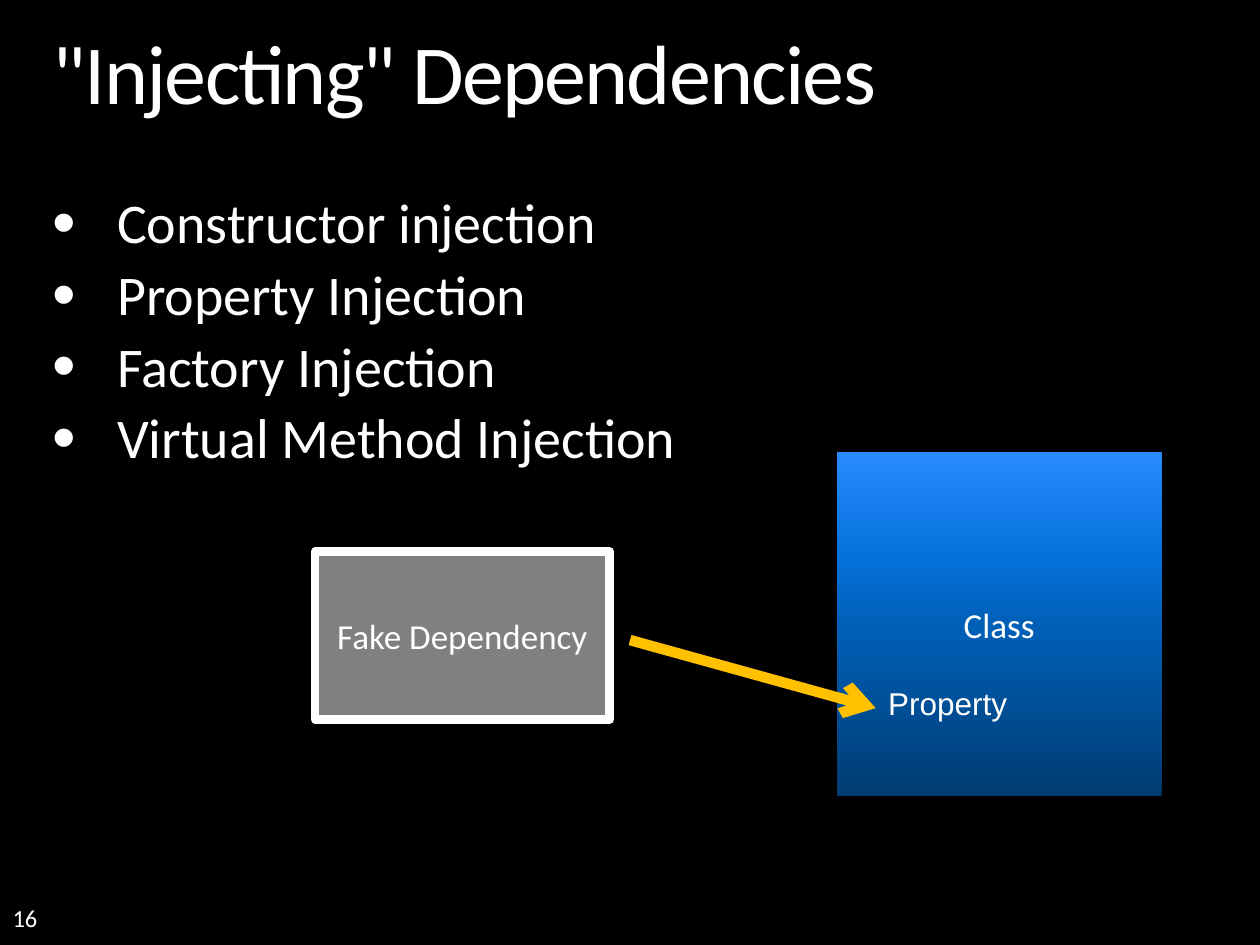
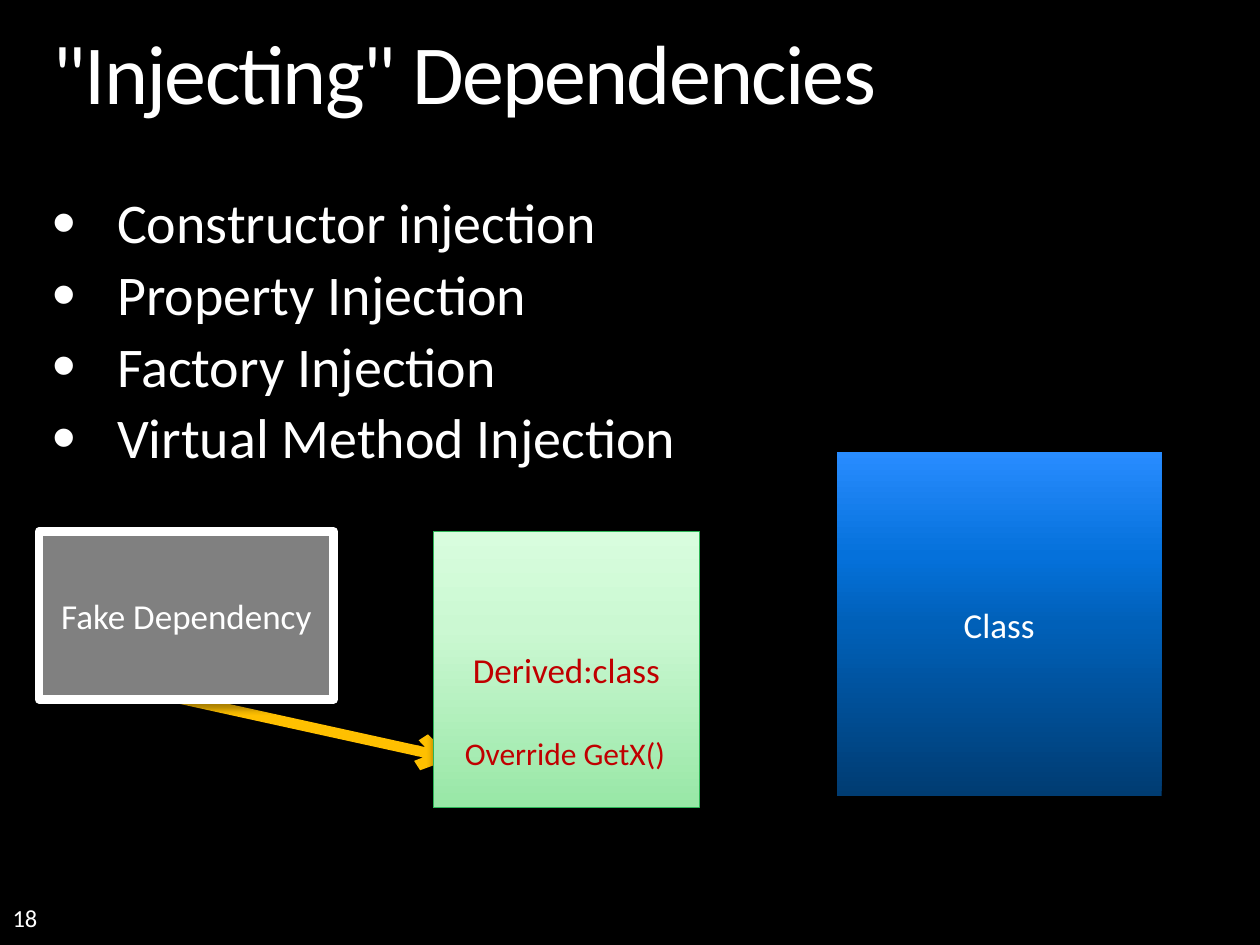
"""Builds two slides on ways of injecting dependencies."""
from lxml import etree
from pptx import Presentation
from pptx.dml.color import RGBColor
from pptx.enum.shapes import MSO_CONNECTOR, MSO_SHAPE
from pptx.enum.text import MSO_ANCHOR, PP_ALIGN
from pptx.oxml.ns import qn
from pptx.util import Inches, Pt

RECT, LINE = MSO_SHAPE.RECTANGLE, MSO_CONNECTOR.STRAIGHT
MIDDLE, BOTTOM = MSO_ANCHOR.MIDDLE, MSO_ANCHOR.BOTTOM
LEFT, CENTER = PP_ALIGN.LEFT, PP_ALIGN.CENTER

THEME = {
    "back": "000000", "white": "FFFFFF", "red": "C00000", "gold": "FFC000",
    "gray": "808080", "green": "2DB557", "font": "Calibri", "plain": "Arial",
    "title": 48, "body": 32, "box": 20, "label": 18, "number": 14,
    "blues": [(0, "003C72"), (50, "0060B8"), (70, "0571DB"), (100, "288CFF")],
    "greens": [(0, "98E7A6"), (65, "CBF8D2"), (100, "D8FDDE")],
}
POINTS = ["Constructor injection", "Property Injection",
          "Factory Injection", "Virtual Method Injection"]
FAKE = ("Fake Dependency", "gray", "white", 5, "white", (35, 4))
CLASS = ("Class", "blues", None, 0, "white", (45, 5))
DERIVED = ("Derived:class", "greens", "green", 0.75, "red", (35, 4))
BASE = (CLASS, (6.64, 3.59, 2.58, 2.73))
SLIDES = [
    {"number": "16", "arrow": (5, 5.08, 6.95, 5.62),
     "boxes": [BASE, (FAKE, (2.5, 4.38, 2.34, 1.33))],
     "label": ("Property", (6.95, 5.38, 1.16, 0.4), "plain", "white")},
    {"number": "18", "arrow": (1.09, 5.47, 3.59, 6.02),
     "boxes": [BASE, (FAKE, (0.31, 4.22, 2.34, 1.33)),
               (DERIVED, (3.44, 4.22, 2.11, 2.19))],
     "label": ("Override GetX()", (3.59, 5.78, 1.81, 0.4), "font", "red")},
]


def add(root, tag, **attrs):
    """Append a drawing element to root."""
    return etree.SubElement(root, qn("a:" + tag), attrs)


def write(shape, lines, size, ink="white", font="font", frame=None, para=None):
    """Fill a shape with styled lines."""
    text = shape.text_frame
    text.text = "\n".join(lines)
    for name, value in (frame or {}).items():
        setattr(text, name, value)
    for item in text.paragraphs:
        for name, value in (para or {}).items():
            setattr(item, name, value)
        face = {"name": THEME[font], "size": Pt(THEME[size])}
        for name, value in face.items():
            setattr(item.runs[0].font, name, value)
        item.runs[0].font.color.rgb = RGBColor.from_string(THEME[ink])
    return text.paragraphs


deck = Presentation()
deck.slide_width, deck.slide_height = Inches(10), Inches(7.5)
flush = {"word_wrap": True, "margin_left": 0, "margin_right": 0,
         "margin_top": 0, "margin_bottom": 0}

for plan in SLIDES:
    slide = deck.slides.add_slide(deck.slide_layouts[6])
    slide.background.fill.solid()
    slide.background.fill.fore_color.rgb = RGBColor.from_string(THEME["back"])
    shapes = slide.shapes

    number = shapes.add_textbox(*map(Inches, (0.1, 7, 2.33, 0.4)))
    write(number, [plan["number"]], "number",
          frame={**flush, "vertical_anchor": BOTTOM})

    title = shapes.add_textbox(*map(Inches, (0.42, 0.25, 9.16, 0.73)))
    head = write(title, ['"Injecting" Dependencies'], "title",
                 frame=flush, para={"line_spacing": 0.9})
    head[0].runs[0].font._element.set("spc", "-100")

    body = shapes.add_textbox(*map(Inches, (0.42, 1.55, 9.17, 2.26)))
    for item in write(body, POINTS, "body", frame=flush,
                      para={"line_spacing": 0.9, "space_before": Pt(6.4)}):
        props = item._p.get_or_add_pPr()
        props.set("marL", str(Inches(0.51)))
        props.set("indent", str(Inches(-0.51)))
        add(props, "buSzPct", val="120000")
        add(props, "buFont", typeface=THEME["plain"])
        add(props, "buChar", char="•")

    for kind, place in plan["boxes"]:
        name, fill, edge, width, ink, (dark, blur) = kind
        box = shapes.add_shape(RECT, *map(Inches, place))
        if isinstance(THEME[fill], list):
            box.fill.gradient()
            box.fill.gradient_angle = 90
            stops = box._element.spPr.find(".//" + qn("a:gsLst"))
            stops.clear()
            for pos, tone in THEME[fill]:
                stop = add(stops, "gs", pos=str(pos * 1000))
                add(stop, "srgbClr", val=tone)
        else:
            box.fill.solid()
            box.fill.fore_color.rgb = RGBColor.from_string(THEME[fill])
        if edge:
            box.line.color.rgb = RGBColor.from_string(THEME[edge])
            box.line.width = Pt(width)
        else:
            box.line.fill.background()
        box.shadow.inherit = False
        glow = add(box._element.spPr.find(qn("a:effectLst")), "outerShdw",
                   blurRad=str(Pt(blur)), dist=str(Pt(3)), dir="5400000",
                   rotWithShape="0")
        black = add(glow, "srgbClr", val=THEME["back"])
        add(black, "alpha", val=str(dark * 1000))
        write(box, [name], "box", ink,
              frame={"word_wrap": True, "vertical_anchor": MIDDLE},
              para={"alignment": CENTER})

        if kind is CLASS:
            arrow = shapes.add_connector(LINE, *map(Inches, plan["arrow"]))
            arrow.line.color.rgb = RGBColor.from_string(THEME["gold"])
            arrow.line.width = Pt(6)
            add(arrow.line._get_or_add_ln(), "tailEnd", type="arrow")
            add(arrow._element.spPr, "effectLst")

    words, place, font, ink = plan["label"]
    label = shapes.add_textbox(*map(Inches, place))
    write(label, [words], "label", ink, font,
          frame={"word_wrap": False}, para={"alignment": LEFT})

deck.save("out.pptx")
